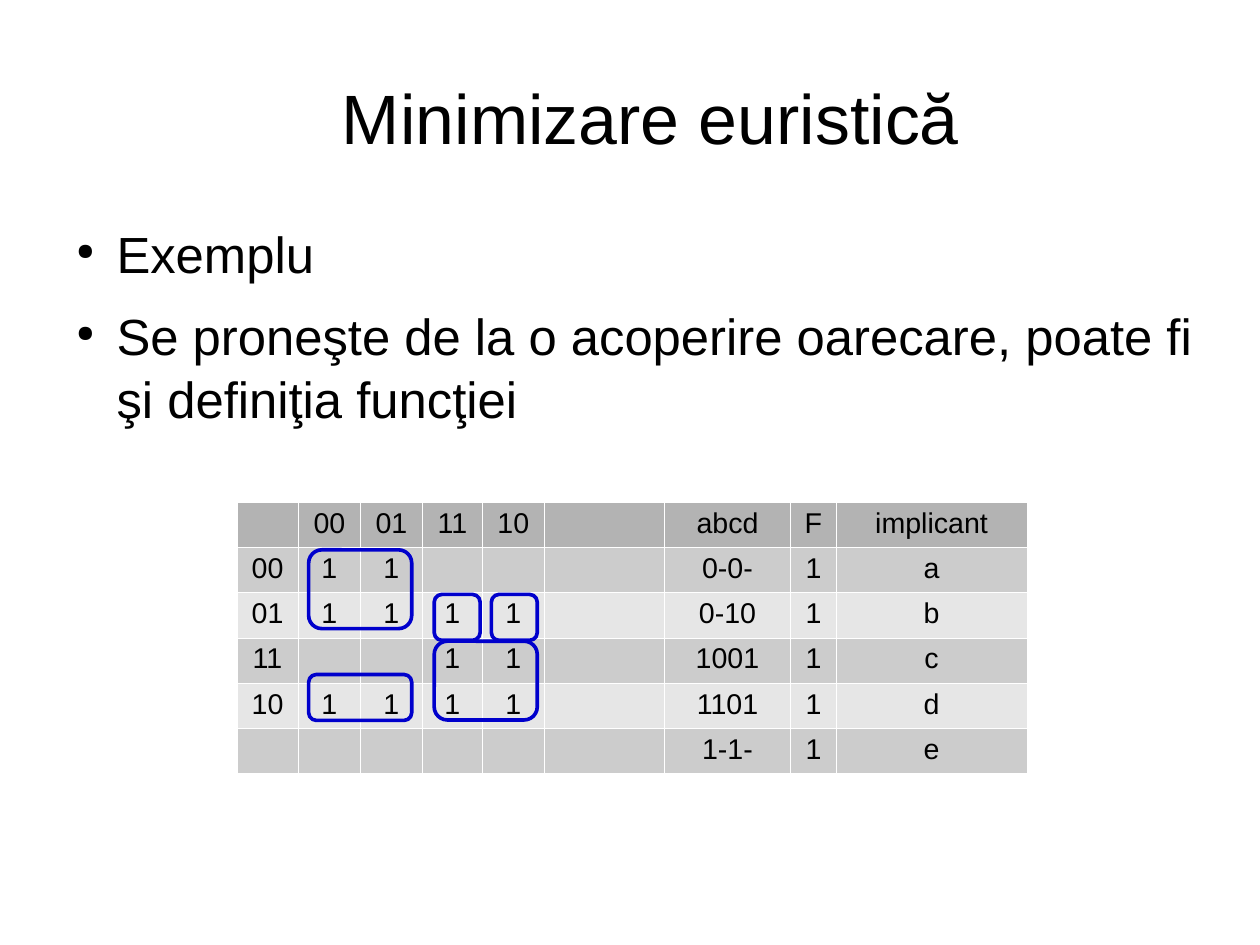
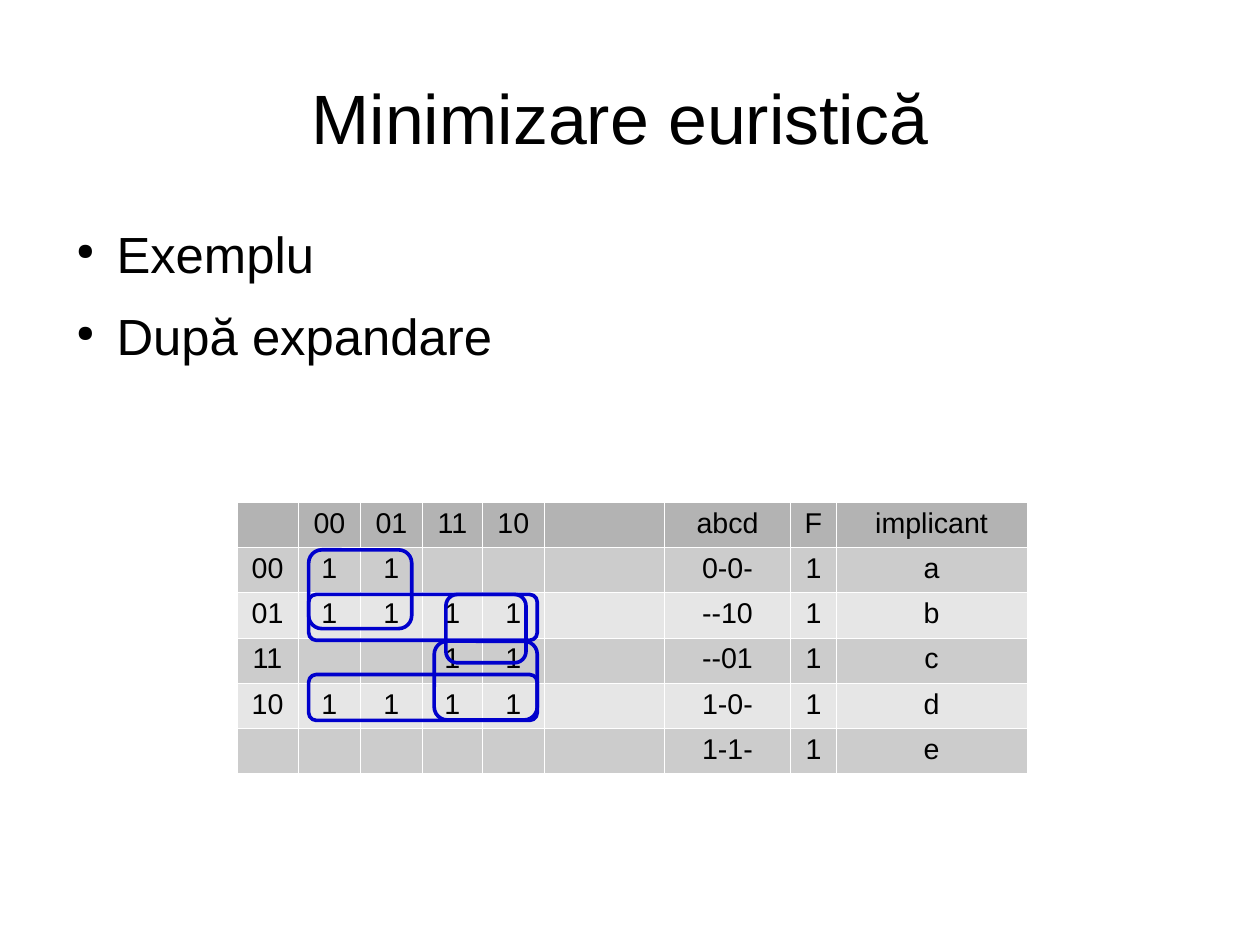
from lxml import etree
from pptx import Presentation
from pptx import util as u
from pptx.dml.color import RGBColor
from pptx.enum import shapes, text
from pptx.oxml.ns import qn

COLOURS = {"text": "000000", "header": "B3B3B3", "dark row": "CCCCCC",
           "light row": "E6E6E6", "border": "FFFFFF", "group": "0000CC"}
FONT = "Arial"
TITLE = "Minimizare euristică "
COLUMN_WIDTHS = [1.37, 1.38, 1.38, 1.33, 1.38, 2.67, 2.8, 1.02, 4.23]
KARNAUGH = [["", "00", "01", "11", "10"],
            ["00", "1", "1", "", ""],
            ["01", "1", "1", "1", "1"],
            ["11", "", "", "1", "1"],
            ["10", "1", "1", "1", "1"],
            ["", "", "", "", ""]]

# Groups circled on the map: left, top, width, height in cm
SHARED_GROUPS = [(6.86, 12.22, 2.29, 1.75), (9.65, 14.25, 2.29, 1.75)]
SLIDES = [
    {"title left": 2.08,
     "points": ["Exemplu",
                "Se proneşte de la o acoperire oarecare, poate fi şi definiţia funcţiei"],
     "cubes": ["0-0-", "0-10", "1001", "1101", "1-1-"],
     "groups": [(6.86, 14.99, 2.29, 1.02), (9.65, 13.21, 1.02, 1.02),
                (10.92, 13.21, 1.02, 1.02)]},
    {"title left": 1.4,
     "points": ["Exemplu", "După expandare"],
     "cubes": ["0-0-", "--10", "--01", "1-0-", "1-1-"],
     "groups": [(6.86, 14.99, 5.08, 1.02), (6.86, 13.21, 5.08, 1.02),
                (9.91, 13.21, 1.78, 1.52)]},
]


def write(frame, *lines, size, align=text.PP_ALIGN.LEFT, anchor=text.MSO_ANCHOR.TOP,
          margins=(0, 0), spacing=1.0, after=0, bullet=False):
    """Fill a text frame with one paragraph per line."""
    frame.word_wrap = True
    frame.vertical_anchor = anchor
    frame.margin_left = frame.margin_right = u.Cm(margins[0])
    frame.margin_top = frame.margin_bottom = u.Cm(margins[1])
    for index, line in enumerate(lines):
        paragraph = frame.add_paragraph() if index else frame.paragraphs[0]
        if bullet:
            properties = paragraph._p.get_or_add_pPr()
            properties.set("marL", str(u.Cm(1.19)))
            properties.set("indent", str(u.Cm(-0.89)))
            etree.SubElement(properties, qn("a:buSzPct"), val="45000")
            etree.SubElement(properties, qn("a:buChar"), char="●")
        paragraph.alignment = align
        paragraph.line_spacing = spacing
        paragraph.space_before = u.Pt(0)
        paragraph.space_after = u.Pt(after)
        paragraph.font.size = u.Pt(size)
        if line:
            run = paragraph.add_run()
            run.text = line
            run.font.name = FONT
            run.font.size = u.Pt(size)
            run.font.color.rgb = RGBColor.from_string(COLOURS["text"])


def style_cell(cell, colour):
    """Give a table cell its fill and thin borders."""
    properties = cell._tc.get_or_add_tcPr()
    for side in ("lnL", "lnR", "lnT", "lnB"):
        line = etree.SubElement(properties, qn(f"a:{side}"), w="720")
        fill = etree.SubElement(line, qn("a:solidFill"))
        etree.SubElement(fill, qn("a:srgbClr"), val=COLOURS["border"])
    cell.fill.solid()
    cell.fill.fore_color.rgb = RGBColor.from_string(COLOURS[colour])


presentation = Presentation()
presentation.slide_width, presentation.slide_height = u.Cm(28), u.Cm(21)

for content in SLIDES:
    slide = presentation.slides.add_slide(presentation.slide_layouts[6])

    # Title and bullet points
    title = slide.shapes.add_textbox(
        u.Cm(content["title left"]), u.Cm(0.85), u.Cm(25.2), u.Cm(3.5))
    write(title.text_frame, TITLE, size=44, align=text.PP_ALIGN.CENTER,
          anchor=text.MSO_ANCHOR.MIDDLE)
    body = slide.shapes.add_textbox(u.Cm(1.4), u.Cm(4.9), u.Cm(25.2), u.Cm(12.2))
    write(body.text_frame, *content["points"], size=32, spacing=1.04,
          after=11.3, bullet=True)

    # Karnaugh map beside the list of implicants
    implicants = [["", "abcd", "F", "implicant"]]
    implicants += [["", cube, "1", name] for cube, name in zip(content["cubes"], "abcde")]
    rows = [left + right for left, right in zip(KARNAUGH, implicants)]
    table = slide.shapes.add_table(
        len(rows), len(COLUMN_WIDTHS), u.Cm(5.26), u.Cm(11.16),
        u.Cm(sum(COLUMN_WIDTHS)), u.Cm(5.84)).table
    table.first_row = table.horz_banding = False
    for column, width in zip(table.columns, COLUMN_WIDTHS):
        column.width = u.Cm(width)
    for row_index, row in enumerate(rows):
        colour = "header" if row_index == 0 else ("light row", "dark row")[row_index % 2]
        for column_index, value in enumerate(row):
            cell = table.cell(row_index, column_index)
            write(cell.text_frame, value, size=18, align=text.PP_ALIGN.CENTER)
            cell.margin_left = cell.margin_right = u.Cm(0.25)
            cell.margin_top = cell.margin_bottom = u.Cm(0.12)
            style_cell(cell, colour)

    # Outlines around the groups of ones
    for box in SHARED_GROUPS + content["groups"]:
        group = slide.shapes.add_shape(
            shapes.MSO_SHAPE.FLOWCHART_ALTERNATE_PROCESS, *map(u.Cm, box))
        group.shadow.inherit = False
        group.fill.background()
        group.line.color.rgb = RGBColor.from_string(COLOURS["group"])
        group.line.width = u.Pt(2.3)

presentation.save("out.pptx")
